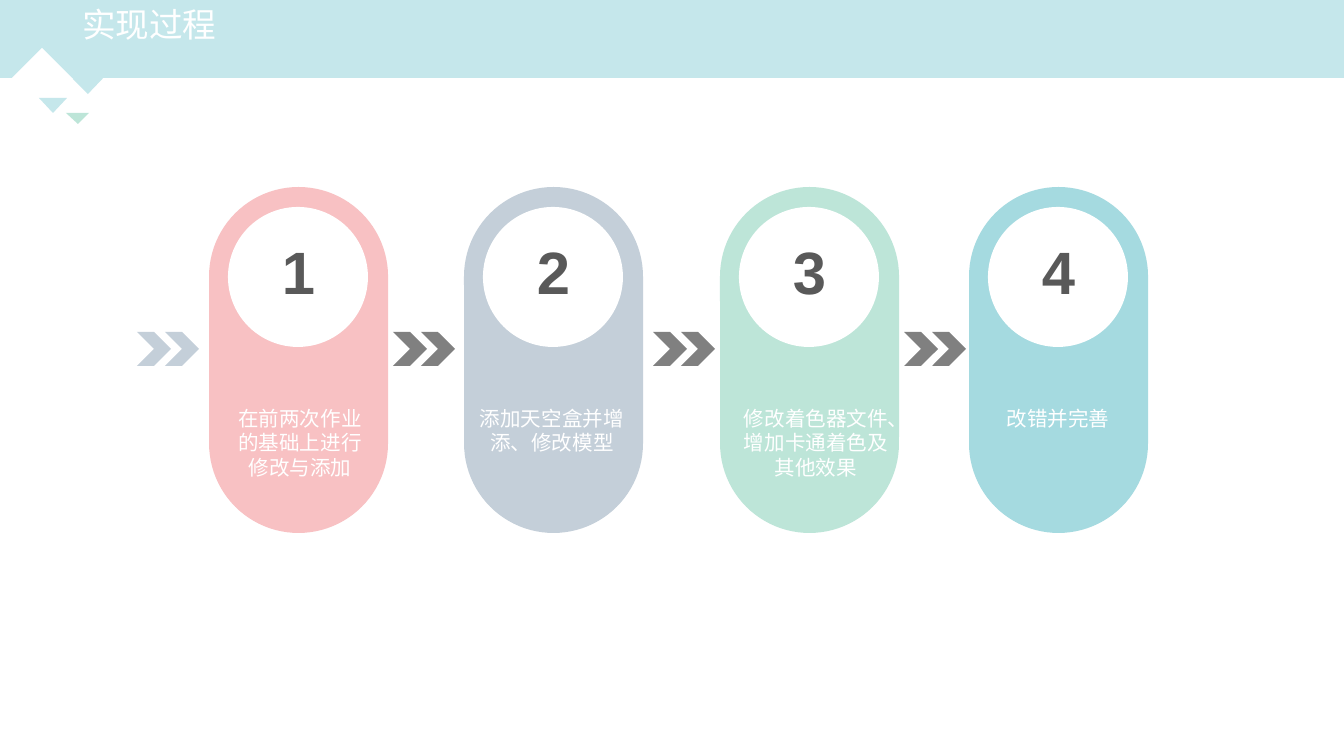
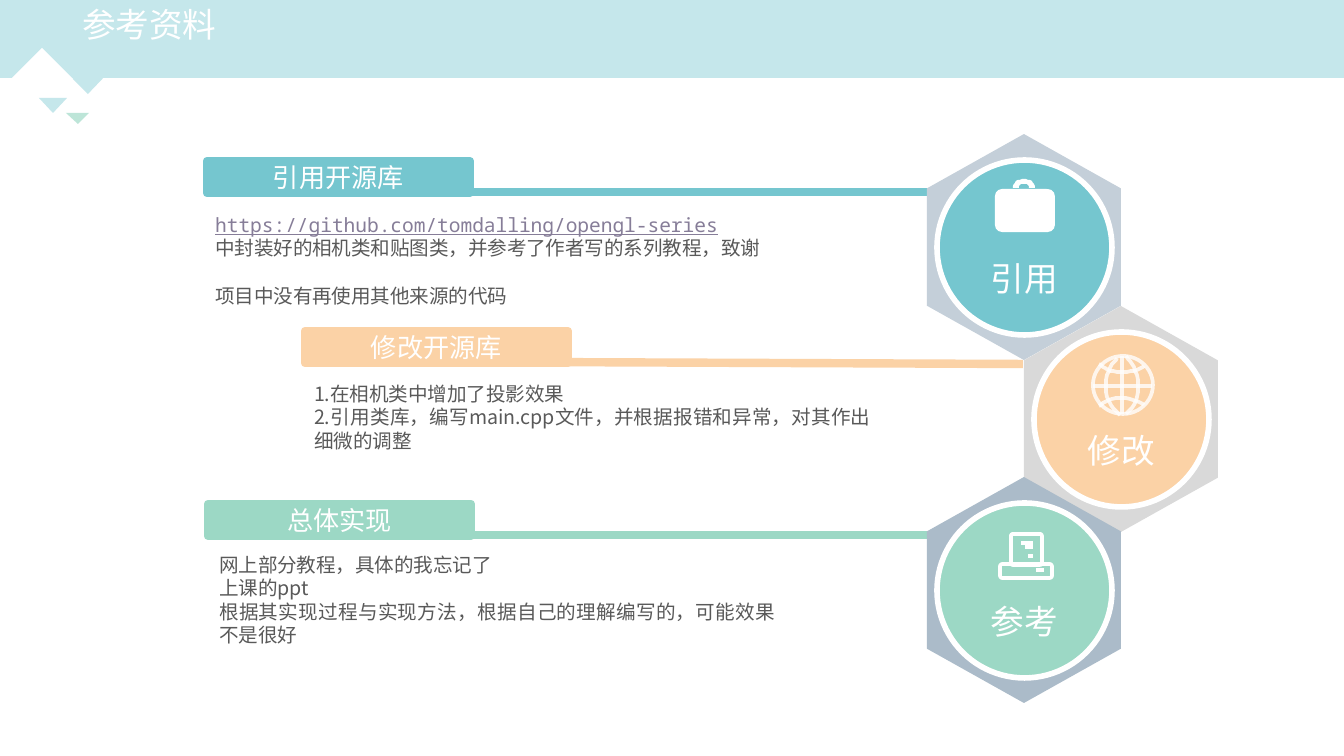
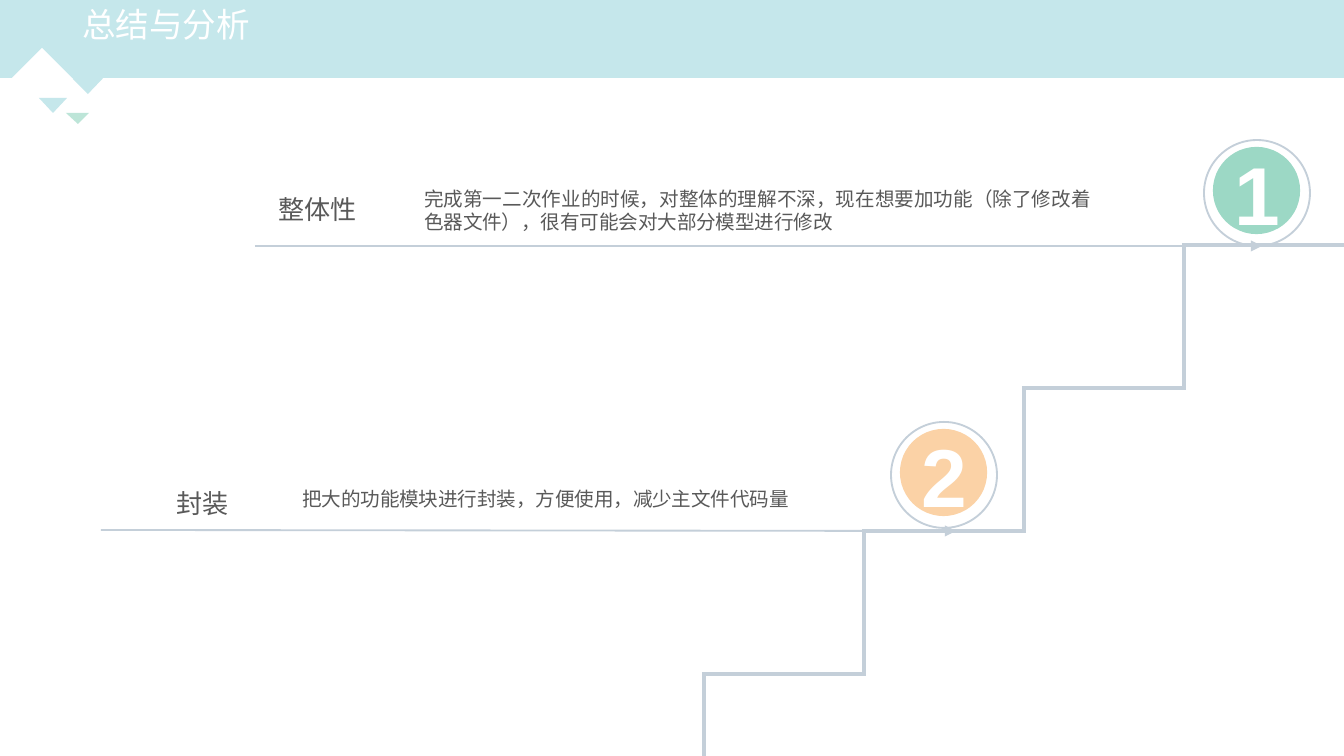
import pptx
import pptx.util
import pptx.dml.color
import pptx.enum.shapes
import pptx.enum.text
import pptx.oxml
import pptx.oxml.ns

SCALE = 914400 / 134.4
WIDE, HIGH = 1344, 756
HAN, MONO, LATIN = "Noto Sans CJK SC", "Noto Sans Mono", "Arial"
COLORS = {
    "band": "C5E7EB", "white": "FFFFFF", "ink": "595959", "link": "867D98",
    "pink": "F8C1C3", "steel": "C4CFD9", "mint": "BDE5D8", "aqua": "A5DAE0",
    "gray": "808080", "teal": "75C6CF", "peach": "FBD2A6", "jade": "9CD8C5",
    "silver": "D9D9D9", "slate": "ABBBC9",
}
KINDS = pptx.enum.shapes.MSO_SHAPE
ALIGN = pptx.enum.text.PP_ALIGN
ANCHOR = pptx.enum.text.MSO_ANCHOR
DRAW = pptx.oxml.ns.qn


def px(count):
    return pptx.util.Emu(round(count * SCALE))


def tint(name):
    return pptx.dml.color.RGBColor.from_string(COLORS[name])


def shift(left, top, points):
    return [(left + x, top + y) for x, y in points]


def stroke(line, color, width, alpha=None):
    line.color.rgb = tint(color)
    line.width = pptx.util.Pt(width)
    if alpha:
        fill = line.fill._xPr.find(DRAW("a:solidFill"))
        pptx.oxml.xmlchemy.OxmlElement
        node = fill[0].makeelement(DRAW("a:alpha"), {"val": str(alpha * 1000)})
        fill[0].append(node)


def paint(item, fill=None, line=None, width=1, alpha=None):
    item.shadow.inherit = False
    if fill:
        item.fill.solid()
        item.fill.fore_color.rgb = tint(fill)
    else:
        item.fill.background()
    if line:
        stroke(item.line, line, width, alpha)
    else:
        item.line.fill.background()
    return item


def shape(slide, kind, box, turn=0, adjust=None, **look):
    """Add a preset shape that covers box after its quarter turn."""
    x, y, w, h = box
    if turn % 180:
        x, y, w, h = x + (w - h) / 2, y + (h - w) / 2, h, w
    item = slide.shapes.add_shape(kind, px(x), px(y), px(w), px(h))
    item.rotation = turn
    if adjust is not None:
        item.adjustments[0] = adjust
    return paint(item, **look)


def outline(slide, points, close=True, **look):
    maker = slide.shapes.build_freeform(*points[0], scale=SCALE)
    maker.add_line_segments(points[1:], close=close)
    return paint(maker.convert_to_shape(), **look)


def curve(knots, steps=8):
    """Sample a chain of cubic curves, given as 3n + 1 knots."""
    points = [knots[0]]
    for k in range(0, len(knots) - 1, 3):
        for step in range(1, steps + 1):
            t = step / steps
            parts = ((1 - t) ** 3, 3 * t * (1 - t) ** 2, 3 * t * t * (1 - t), t ** 3)
            points.append(tuple(sum(p * knot[axis] for p, knot in zip(parts, knots[k:k + 4]))
                                for axis in (0, 1)))
    return points


def line(slide, start, end, color, width, alpha=None, arrow=False):
    item = slide.shapes.add_connector(pptx.enum.shapes.MSO_CONNECTOR.STRAIGHT,
                                      *map(px, (*start, *end)))
    stroke(item.line, color, width, alpha)
    props = item._element.spPr
    if arrow:
        edge = props.find(DRAW("a:ln"))
        edge.append(edge.makeelement(DRAW("a:tailEnd"), {"type": "triangle"}))
    props.append(props.makeelement(DRAW("a:effectLst"), {}))


def write(frame, lines, size=10.5, color="ink", font=HAN, bold=False, under=False,
          align=ALIGN.LEFT, lead=None, gap=0):
    """Fill a frame; a line may be a (text, overrides) pair."""
    for i, entry in enumerate([lines] if isinstance(lines, str) else lines):
        words, extra = (entry, {}) if isinstance(entry, str) else entry
        look = dict(color=color, font=font, under=under, gap=gap) | extra
        para = frame.paragraphs[0] if i == 0 else frame.add_paragraph()
        para.alignment = align
        if lead:
            para.line_spacing = lead
        if look["gap"]:
            para.space_before = pptx.util.Pt(look["gap"])
        run = para.add_run()
        run.text = words
        face = run.font
        face.size, face.bold = pptx.util.Pt(size), bold
        face.underline = look["under"]
        face.color.rgb = tint(look["color"])
        face.name = look["font"]
        props = run._r.get_or_add_rPr()
        props.append(props.makeelement(DRAW("a:ea"), {"typeface": look["font"]}))


def text(slide, box, lines, wrap=True, inset=True, anchor=ANCHOR.TOP, **look):
    frame = slide.shapes.add_textbox(*map(px, box)).text_frame
    frame.word_wrap = wrap
    frame.vertical_anchor = anchor
    if not inset:
        frame.margin_left = frame.margin_right = frame.margin_top = frame.margin_bottom = 0
    write(frame, lines, **look)


def page(deck, title):
    """Add a slide with the shared band, triangles and title."""
    slide = deck.slides.add_slide(deck.slide_layouts[6])
    shape(slide, KINDS.RECTANGLE, (0, 0, WIDE, 78), fill="band")
    for left, right, base, tip, color in (
            (65, 110, 71, 94, "band"), (66, 89, 113, 124, "mint"),
            (11, 73, 79, 48, "white"), (39, 67, 98, 113, "band")):
        outline(slide, [(left, base), (right, base), ((left + right) / 2, tip)], fill=color)
    text(slide, (82, 0, 900, 48), title, inset=False, anchor=ANCHOR.MIDDLE,
         size=18, color="white")
    return slide


def pill(slide, box, number, label, color, dx, width):
    x, y, w, h = box
    shape(slide, KINDS.ROUNDED_RECTANGLE, box, turn=90, adjust=0.5, fill=color)
    shape(slide, KINDS.OVAL, (x + 19, y + 20, 140, 140), fill="white")
    text(slide, (x + 13, y + 12, 153, 109), number, inset=False, size=32,
         font=LATIN, bold=True, align=ALIGN.CENTER, lead=1.5)
    text(slide, (x + dx, y + 212, width, 89), label, size=11, color="white",
         align=ALIGN.CENTER)


def process(deck):
    slide = page(deck, "实现过程")
    steps = (
        (209, "在前两次作业的基础上进行修改与添加", "pink", 11, 160),
        (464, "添加天空盒并增添、修改模型", "steel", -2, 180),
        (720, "修改着色器文件、增加卡通着色及其他效果", "mint", 10, 172),
        (969, "改错并完善", "aqua", 3, 172),
    )
    for i, (x, label, color, dx, width) in enumerate(steps, 1):
        pill(slide, (x, 187, 179, 346), str(i), label, color, dx, width)
    for x, color in ((137, "steel"), (393, "gray"), (653, "gray"), (904, "gray")):
        for step in (0, 28):
            shape(slide, KINDS.CHEVRON, (x + step, 332, 34, 34), fill=color)


def case(slide, x, y):
    shape(slide, KINDS.ROUNDED_RECTANGLE, (x + 68, y + 55, 60, 43), adjust=0.167, fill="white")
    inner = [(92, 54), (92, 51), (94, 50), (97, 50), (100, 50), (102, 51), (102, 54)]
    outer = [(108, 54), (108, 48), (103, 45), (97, 45), (91, 45), (86, 48), (86, 54)]
    outline(slide, shift(x, y, curve(inner) + curve(outer)), fill="white")


def globe(slide, x, y):
    pen = dict(width=2, alpha=78)
    shape(slide, KINDS.OVAL, (x + 69, y + 50, 60, 58), line="white", **pen)
    for ends in ([(98, 50), (98, 108)], [(69, 80), (128, 80)]):
        line(slide, *shift(x, y, ends), "white", **pen)
    for arc in (
            [(102, 50), (106, 57), (114, 63), (114, 80), (114, 97), (107, 104), (102, 108)],
            [(93, 52), (90, 56), (82, 64), (82, 80), (82, 97), (90, 103), (96, 109)],
            [(120, 99), (117, 97), (110, 92), (97, 92), (83, 92), (81, 97), (75, 100)],
            [(120, 60), (117, 62), (112, 66), (98, 66), (84, 66), (81, 62), (75, 58)]):
        outline(slide, shift(x, y, curve(arc)), close=False, line="white", **pen)


def printer(slide, x, y):
    for left, top, w, h, adjust in ((84, 57, 31, 31, 0.06), (73, 87, 52, 14, 0.17)):
        shape(slide, KINDS.ROUNDED_RECTANGLE, (x + left, y + top, w, h), adjust=adjust,
              line="white", width=2)
    for right, left, level in ((117, 109, 93), (106, 94, 66), (106, 98, 70), (106, 101, 79)):
        line(slide, (x + right, y + level), (x + left, y + level), "white", 2)


def badge(slide, box, name, back, color, icon):
    x, y, w, h = box
    shape(slide, KINDS.HEXAGON, box, turn=270, adjust=0.28, fill=back)
    shape(slide, KINDS.OVAL, (x + 10, y + 26, 175, 175), fill=color, line="white", width=3)
    text(slide, (x + 50, y + 117, 95, 54), name, wrap=False, size=18, color="white",
         align=ALIGN.CENTER)
    icon(slide, x, y)


def topic(slide, spot, title, color, start, end):
    """Draw a heading bar and the wire that runs to its badge."""
    x, y = spot
    line(slide, (x + start, y + 31), end, color, 4.5)
    bar = shape(slide, KINDS.RECTANGLE, (x, y, 263, 32), fill=color, line=color, width=4.5)
    bar.text_frame.vertical_anchor = ANCHOR.MIDDLE
    write(bar.text_frame, title, size=14, color="white", align=ALIGN.CENTER)


def sources(deck):
    slide = page(deck, "参考资料")
    rows = (
        ((207, 161), "引用开源库", "teal", 155, (927, 192), 927, "引用", "steel", case,
         (202, 206),
         [("https://github.com/tomdalling/opengl-series",
           dict(font=MONO, color="link", under=True)),
          "中封装好的相机类和贴图类，并参考了作者写的系列教程，致谢",
          ("项目中没有再使用其他来源的代码", dict(gap=12.8))]),
        ((305, 331), "修改开源库", "peach", 219, (1023, 364), 1024, "修改", "silver", globe,
         (301, 375),
         ["1.在相机类中增加了投影效果",
          "2.引用类库，编写main.cpp文件，并根据报错和异常，对其作出细微的调整"]),
        ((208, 504), "总体实现", "jade", 155, (927, 535), 927, "参考", "slate", printer,
         (206, 546),
         ["网上部分教程，具体的我忘记了", "上课的ppt",
          "根据其实现过程与实现方法，根据自己的理解编写的，可能效果不是很好"]),
    )
    for i, (spot, title, color, start, end, x, name, back, icon, place, lines) in enumerate(rows):
        topic(slide, spot, title, color, start, end)
        badge(slide, (x, 134 + round(171.5 * i), 194, 226), name, back, color, icon)
        text(slide, (*place, 583, 109), lines, align=ALIGN.JUSTIFY)


def stairs(slide, left, top, run, rise, count):
    """Draw steps that go down to the left from the corner (left, top)."""
    for i in range(count):
        x, y = left - run * i, top + rise * i
        line(slide, (x - 2, y), (min(x + run + 2, WIDE), y), "steel", 2.25)
        line(slide, (x, y), (x, min(y + rise, HIGH)), "steel", 2.25)


def medal(slide, x, y, number, color):
    shape(slide, KINDS.OVAL, (x, y, 106, 106), line="steel")
    shape(slide, KINDS.OVAL, (x + 11, y + 9, 83, 83), fill=color, line=color, width=2.25)
    text(slide, (x + 17, y - 3, 74, 113), number, wrap=False, size=44, color="white",
         font=LATIN, bold=True)


def summary(deck):
    slide = page(deck, "总结与分析")
    stairs(slide, 1184, 245, 160, 143, 4)
    points = (
        ((255, 246), (1262, 246), (235, 187, 165, 46), "整体性", (411, 180, 694, 60),
         "完成第一二次作业的时候，对整体的理解不深，现在想要加功能（除了修改着色器文件），"
         "很有可能会对大部分模型进行修改", (1204, 140), "jade"),
        ((101, 530), (956, 531), (118, 481, 169, 46), "封装", (289, 480, 613, 37),
         "把大的功能模块进行封装，方便使用，减少主文件代码量", (891, 422), "peach"),
    )
    for i, (start, end, head, title, body, words, spot, color) in enumerate(points, 1):
        medal(slide, *spot, str(i), color)
        line(slide, start, end, "steel", 1, arrow=True)
        text(slide, head, title, size=14, align=ALIGN.CENTER)
        text(slide, body, words, align=ALIGN.JUSTIFY)


def main():
    deck = pptx.Presentation()
    deck.slide_width, deck.slide_height = px(WIDE), px(HIGH)
    process(deck)
    sources(deck)
    summary(deck)
    deck.save("out.pptx")


if __name__ == "__main__":
    main()
